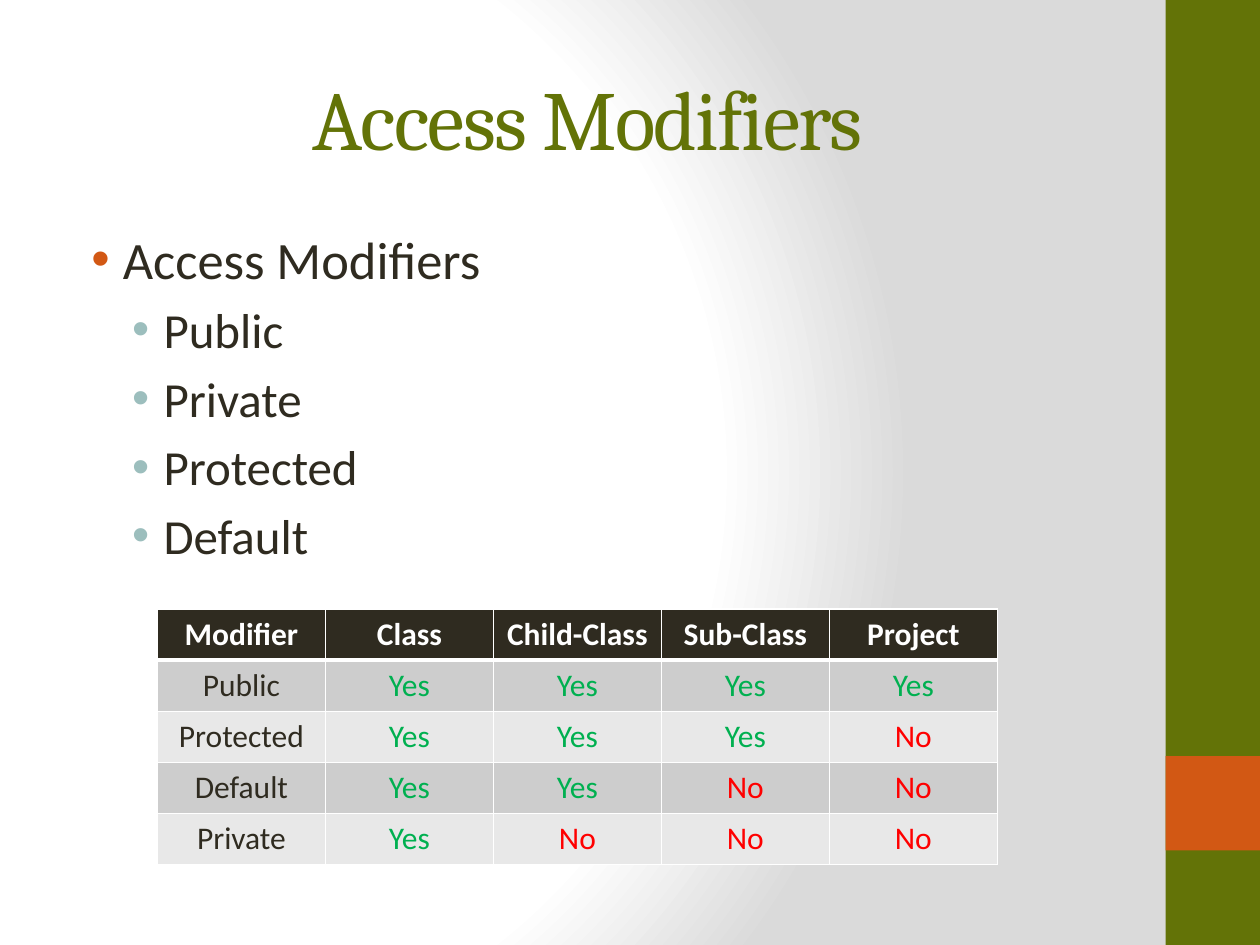
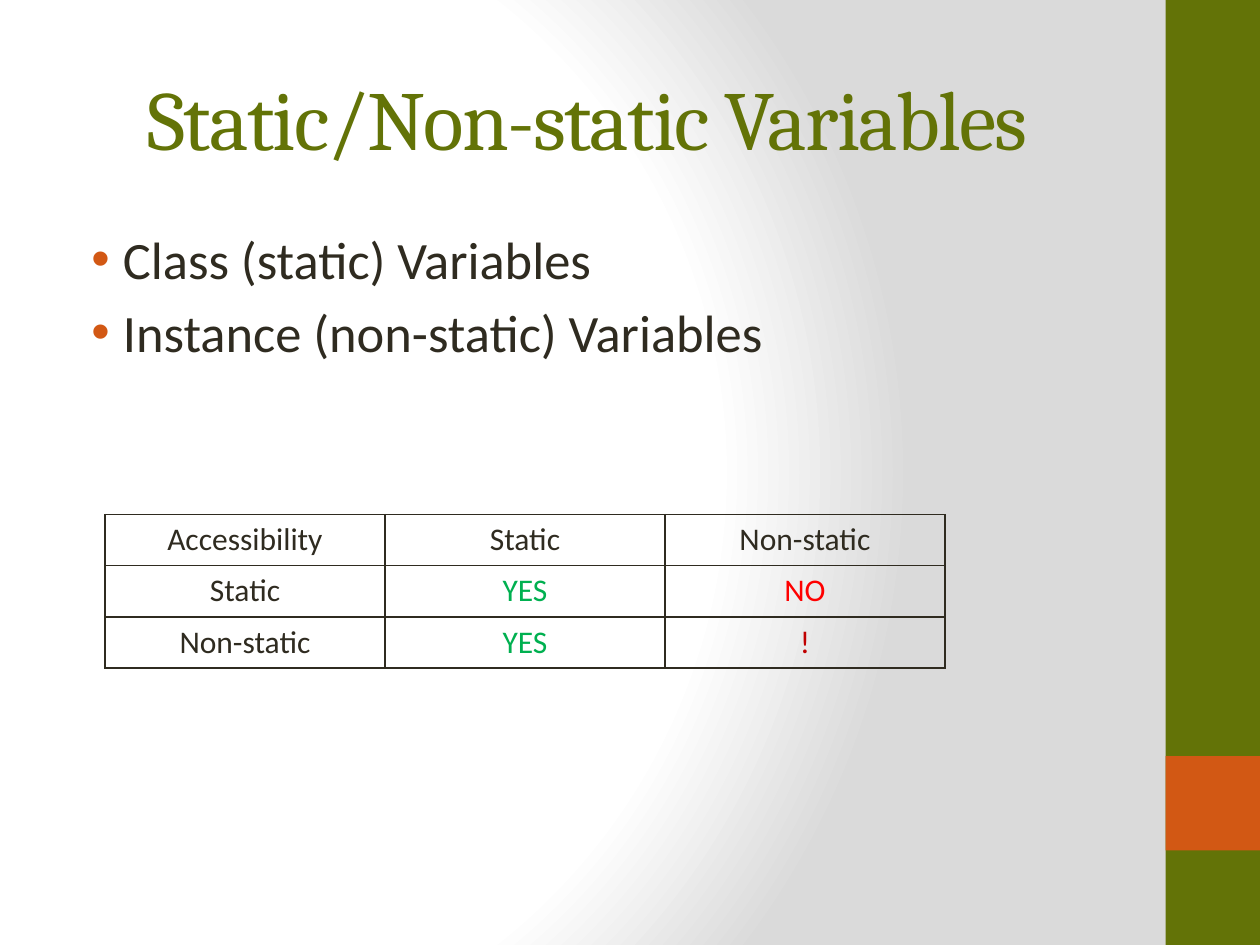
from dataclasses import dataclass

from lxml import etree
from pptx import Presentation
from pptx.dml.color import RGBColor
from pptx.enum.shapes import MSO_SHAPE
from pptx.enum.text import MSO_ANCHOR, MSO_AUTO_SIZE, PP_ALIGN
from pptx.oxml import parse_xml
from pptx.oxml.ns import nsdecls, qn
from pptx.util import Pt

PX = 9525  # EMU in one px, 96 px to the inch

OLIVE = RGBColor(0x63, 0x73, 0x07)
RUST = RGBColor(0xD2, 0x58, 0x14)
TEAL = RGBColor(0x9C, 0xBE, 0xBD)
INK = RGBColor(0x2F, 0x2B, 0x20)
WHITE = RGBColor(0xFF, 0xFF, 0xFF)
MIST = RGBColor(0xDA, 0xDA, 0xDA)
DARK = RGBColor(0xCD, 0xCD, 0xCD)
PALE = RGBColor(0xE8, 0xE8, 0xE8)
GREEN = RGBColor(0x00, 0xB0, 0x50)
RED = RGBColor(0xFF, 0x00, 0x00)
MAROON = RGBColor(0xC0, 0x00, 0x00)

HEAD, BODY = "Cambria", "Calibri"
RECT = MSO_SHAPE.RECTANGLE
LEFT, CENTER = PP_ALIGN.LEFT, PP_ALIGN.CENTER
TOP, MIDDLE = MSO_ANCHOR.TOP, MSO_ANCHOR.MIDDLE
NO_FIT = MSO_AUTO_SIZE.NONE
MARKS = {"yes": GREEN, "no": RED, "!": MAROON}
ROW = 39


@dataclass(frozen=True)
class Box:
    x: int
    y: int
    w: int
    h: int

    def emu(self) -> tuple[int, ...]:
        return tuple(n * PX for n in (self.x, self.y, self.w, self.h))


@dataclass(frozen=True)
class Band:
    box: Box
    color: RGBColor


@dataclass(frozen=True)
class Level:
    size: int
    left: int
    dot: RGBColor


@dataclass(frozen=True)
class Grid:
    box: Box
    rows: list[str]
    line: RGBColor
    filled: bool


@dataclass(frozen=True)
class Page:
    title: str
    items: list[tuple[int, str]]
    grid: Grid


BANDS = [Band(Box(888, 0, 72, 720), OLIVE), Band(Box(888, 576, 72, 72), RUST)]
TITLE = Box(48, 29, 800, 120)
LIST = Box(48, 168, 800, 504)
LEVELS = [Level(30, 36, RUST), Level(28, 67, TEAL)]
HANG = 24

PAGES = [
    Page(
        "Access Modifiers",
        [(0, "Access Modifiers"), (1, "Public"), (1, "Private"),
         (1, "Protected"), (1, "Default")],
        Grid(Box(120, 464, 640, 5 * ROW), [
            "Modifier Class Child-Class Sub-Class Project",
            "Public Yes Yes Yes Yes",
            "Protected Yes Yes Yes No",
            "Default Yes Yes No No",
            "Private Yes No No No",
        ], WHITE, True),
    ),
    Page(
        "Static/Non-static Variables",
        [(0, "Class (static) Variables"), (0, "Instance (non-static) Variables")],
        Grid(Box(80, 392, 640, 3 * ROW), [
            "Accessibility Static Non-static",
            "Static YES NO",
            "Non-static YES !",
        ], INK, False),
    ),
]


def write(para, text: str, *, size: int, font: str = BODY, color: RGBColor = INK,
          bold: bool = False, align=LEFT, track: int = 0) -> None:
    """Add one formatted run; track is letter spacing in points."""
    para.alignment = align
    run = para.add_run()
    run.text = text
    face = run.font
    face.size, face.name, face.bold = Pt(size), font, bold
    face.color.rgb = color
    if track:
        run._r.get_or_add_rPr().set("spc", str(track * 100))


def paint(master) -> None:
    """Give the master its round white-to-grey background."""
    master.background.fill.gradient()
    stops = "".join(
        f'<a:gs pos="{pos * 1000}"><a:srgbClr val="{color}"/></a:gs>'
        for pos, color in ((0, WHITE), (75, WHITE), (100, MIST)))
    grad = parse_xml(
        f'<a:gradFill {nsdecls("a")} rotWithShape="1"><a:gsLst>{stops}</a:gsLst>'
        '<a:path path="circle"><a:fillToRect l="20000" t="50000" r="100000"'
        ' b="50000"/></a:path></a:gradFill>')
    old = master.element.find(".//" + qn("a:gradFill"))
    old.getparent().replace(old, grad)


def add_band(slide, band: Band) -> None:
    shape = slide.shapes.add_shape(RECT, *band.box.emu())
    shape.shadow.inherit = False
    shape.fill.solid()
    shape.fill.fore_color.rgb = band.color
    shape.line.fill.background()


def place(shape, box: Box, anchor):
    """Move a placeholder and return its text frame."""
    shape.left, shape.top, shape.width, shape.height = box.emu()
    frame = shape.text_frame
    frame.word_wrap, frame.auto_size = True, NO_FIT
    frame.vertical_anchor = anchor
    return frame


def add_dot(para, level: Level) -> None:
    props = para._p.get_or_add_pPr()
    props.set("marL", str(level.left * PX))
    props.set("indent", str(-HANG * PX))
    tint = etree.SubElement(props, qn("a:buClr"))
    etree.SubElement(tint, qn("a:srgbClr")).set("val", str(level.dot))
    etree.SubElement(props, qn("a:buChar")).set("char", "•")


def fill_list(frame, items: list[tuple[int, str]]) -> None:
    for i, (depth, text) in enumerate(items):
        para = frame.add_paragraph() if i else frame.paragraphs[0]
        level = LEVELS[depth]
        para.level = depth
        add_dot(para, level)
        if not i:
            para.space_before = Pt(0)
        write(para, text, size=level.size)


def edge(cell, side: str, color: RGBColor, width: int) -> None:
    line = etree.SubElement(cell._tc.get_or_add_tcPr(), qn("a:ln" + side))
    line.set("w", str(Pt(width)))
    fill = etree.SubElement(line, qn("a:solidFill"))
    etree.SubElement(fill, qn("a:srgbClr")).set("val", str(color))


def add_grid(slide, grid: Grid) -> None:
    rows = [row.split() for row in grid.rows]
    count = len(rows[0])
    table = slide.shapes.add_table(len(rows), count, *grid.box.emu()).table
    table.first_row = table.horz_banding = False
    for col in table.columns:
        col.width = grid.box.w * PX // count
    for r, row in enumerate(rows):
        table.rows[r].height = ROW * PX
        head = grid.filled and r == 0
        for c, text in enumerate(row):
            cell = table.cell(r, c)
            for side in "LRTB":
                thick = grid.filled and (r, side) in ((0, "B"), (1, "T"))
                edge(cell, side, grid.line, 3 if thick else 1)
            if grid.filled:
                cell.fill.solid()
                cell.fill.fore_color.rgb = INK if head else (PALE, DARK)[r % 2]
            else:
                cell.fill.background()
            color = WHITE if head else MARKS.get(text.lower(), INK)
            write(cell.text_frame.paragraphs[0], text, size=18, color=color,
                  bold=head, align=CENTER)


def add_page(deck, page: Page) -> None:
    slide = deck.slides.add_slide(deck.slide_layouts[1])
    for band in BANDS:
        add_band(slide, band)
    title = place(slide.shapes.title, TITLE, MIDDLE)
    write(title.paragraphs[0], page.title, size=48, font=HEAD, color=OLIVE,
          align=CENTER, track=-1)
    fill_list(place(slide.placeholders[1], LIST, TOP), page.items)
    add_grid(slide, page.grid)


def main() -> None:
    deck = Presentation()
    deck.slide_width, deck.slide_height = 960 * PX, 720 * PX
    paint(deck.slide_master)
    for page in PAGES:
        add_page(deck, page)
    deck.save("out.pptx")


if __name__ == "__main__":
    main()
